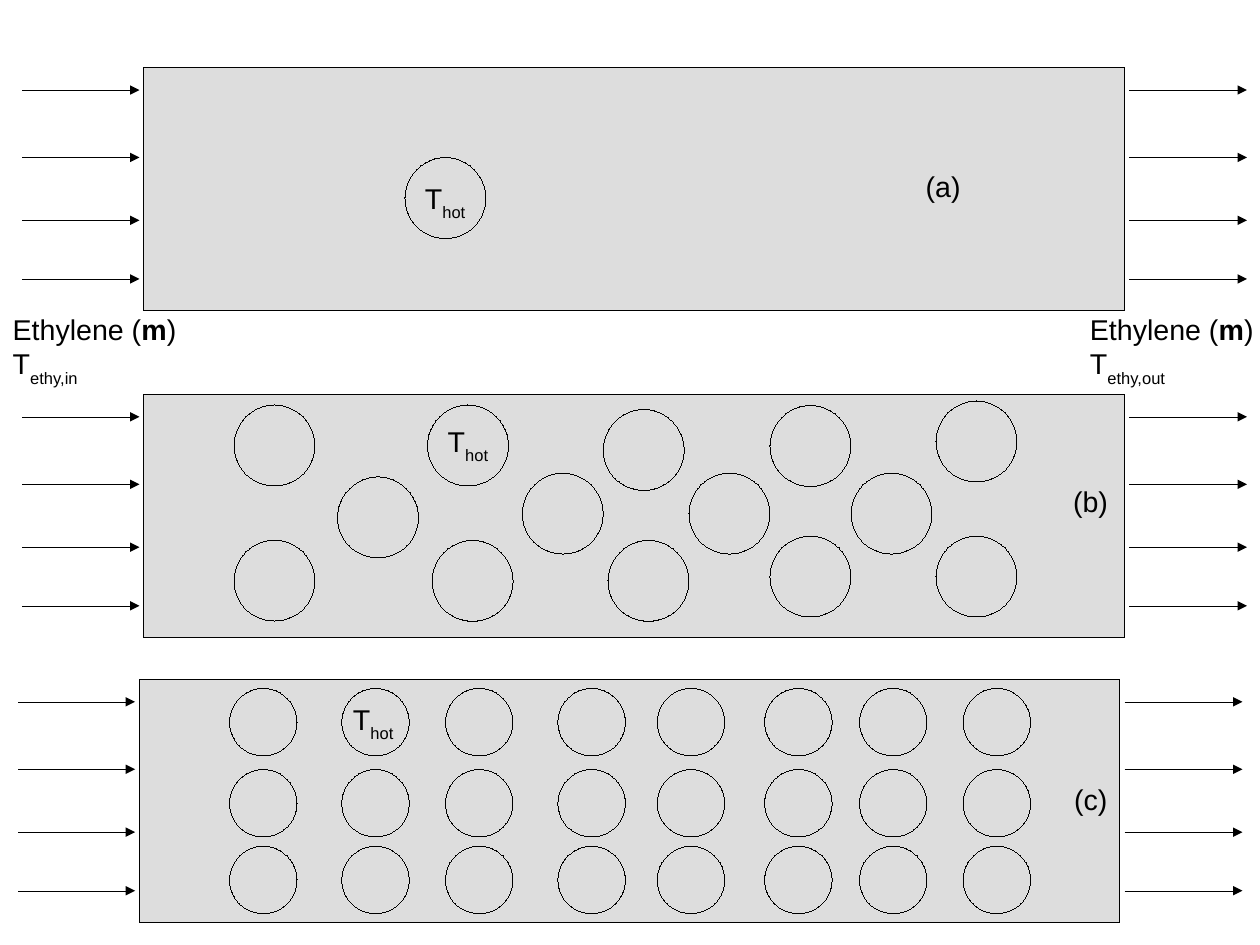
from lxml import etree
from pptx import Presentation
from pptx.dml.color import RGBColor
from pptx.enum.shapes import MSO_CONNECTOR, MSO_SHAPE
from pptx.enum.text import MSO_ANCHOR, MSO_AUTO_SIZE, PP_ALIGN
from pptx.oxml.ns import qn
from pptx.util import Pt

STRAIGHT = MSO_CONNECTOR.STRAIGHT
RECTANGLE, OVAL = MSO_SHAPE.RECTANGLE, MSO_SHAPE.OVAL
TOP, LEFT = MSO_ANCHOR.TOP, PP_ALIGN.LEFT
FIT_SHAPE = MSO_AUTO_SIZE.SHAPE_TO_FIT_TEXT

SLIDE_WIDTH, SLIDE_HEIGHT = 793.7, 595.28
CHANNEL_SIZE = (617.5, 153)
HOT_SIZE, LABEL_SIZE, STREAM_SIZE = (41, 31.7), (37, 27.4), (118, 51.8)
BLACK, GREY = "000000", "DDDDDD"

INLET_SPAN = (-76.5, -2.8)
OUTLET_SPAN = (620.6, 694.8)
FLOW_HEIGHTS = (14.2, 56.7, 96.3, 133.2)

STAGGERED_TUBES = [
    (147.4, 255.1), (269.3, 255.1), (380, 257.9), (485, 255.4), (589.6, 252.6),
    (212.6, 300.4), (329, 298), (434, 298), (536.1, 298),
    (147.4, 340.2), (272.2, 340.4), (383, 340.4), (485, 337.7), (589.6, 337.7),
]
GRID_COLUMNS = (144.6, 215.3, 280.6, 351.4, 414, 481.7, 541.4, 606.7)
GRID_ROWS = (433.6, 484.7, 533)
GRID_TUBES = [(x, y) for x in GRID_COLUMNS for y in GRID_ROWS]

CHANNELS = [
    {"corner": (90.7, 42.5), "tube": 51, "tubes": [(255.1, 99.2)],
     "hot": (260.6, 110.2), "label": "(a)", "label_at": (576, 103)},
    {"corner": (90.7, 248.4), "tube": 51, "tubes": STAGGERED_TUBES,
     "hot": (275, 263.3), "label": "(b)", "label_at": (668.9, 301.5)},
    {"corner": (87.9, 427.9), "tube": 42.5, "tubes": GRID_TUBES,
     "hot": (215.3, 438.5), "label": "(c)", "label_at": (669.6, 488.7)},
]

HOT = [[("T", ""), ("hot", "sub")]]
STREAMS = [("ethy,out", (679.5, 193)), ("ethy,in", (0.9, 193))]


def color(hex_code):
    return RGBColor.from_string(hex_code)


def set_hairline(line):
    line.color.rgb = color(BLACK)
    stroke = line._get_or_add_ln()
    stroke.set("w", "0")
    return stroke


def add_outline(shape_kind, left, top, width, height):
    outline = slide.shapes.add_shape(shape_kind, Pt(left), Pt(top), Pt(width), Pt(height))
    outline.shadow.inherit = False
    outline.fill.solid()
    outline.fill.fore_color.rgb = color(GREY)
    set_hairline(outline.line)


def add_flow(start, end, height):
    flow = slide.shapes.add_connector(STRAIGHT, Pt(start), Pt(height), Pt(end), Pt(height))
    etree.SubElement(set_hairline(flow.line), qn("a:tailEnd"), type="triangle")
    etree.SubElement(flow._element.spPr, qn("a:effectLst"))


def add_text(lines, at, size, points=18, font="Arial", ink=BLACK):
    box = slide.shapes.add_textbox(*map(Pt, at + size))
    frame = box.text_frame
    frame.word_wrap = False
    frame.auto_size = FIT_SHAPE
    frame.vertical_anchor = TOP
    for index, line in enumerate(lines):
        paragraph = frame.add_paragraph() if index else frame.paragraphs[0]
        paragraph.alignment = LEFT
        for words, style in line:
            run = paragraph.add_run()
            run.text = words
            run.font.name = font
            run.font.size = Pt(points)
            run.font.bold = style == "bold"
            run.font.color.rgb = color(ink)
            if style == "sub":
                run._r.get_or_add_rPr().set("baseline", "-33000")


deck = Presentation()
deck.slide_width = Pt(SLIDE_WIDTH)
deck.slide_height = Pt(SLIDE_HEIGHT)
slide = deck.slides.add_slide(deck.slide_layouts[6])

for channel in CHANNELS:
    left, top = channel["corner"]
    add_outline(RECTANGLE, left, top, *CHANNEL_SIZE)
    for start, end in (INLET_SPAN, OUTLET_SPAN):
        for height in FLOW_HEIGHTS:
            add_flow(left + start, left + end, top + height)
    for x, y in channel["tubes"]:
        add_outline(OVAL, x, y, channel["tube"], channel["tube"])
    add_text(HOT, channel["hot"], HOT_SIZE)
    add_text([[(channel["label"], "")]], channel["label_at"], LABEL_SIZE)

for stream, at in STREAMS:
    add_text([[("Ethylene (", ""), ("m", "bold"), (")", "")],
              [("T", ""), (stream, "sub")]], at, STREAM_SIZE)

deck.save("out.pptx")
